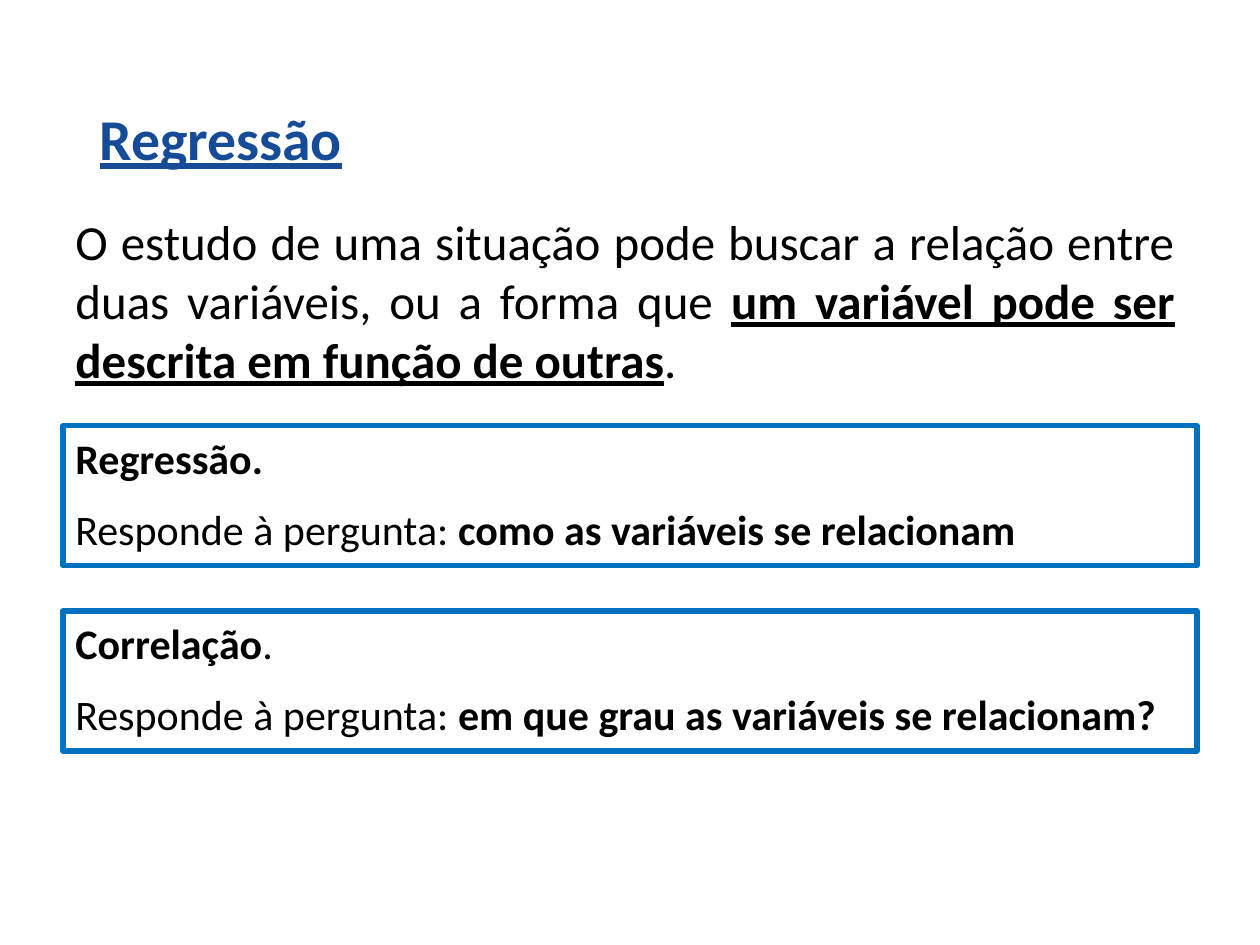
from dataclasses import dataclass

from pptx import Presentation
from pptx.dml.color import RGBColor
from pptx.enum.shapes import MSO_SHAPE
from pptx.enum.text import MSO_ANCHOR, PP_ALIGN
from pptx.util import Inches, Pt

RECT = MSO_SHAPE.RECTANGLE
TOP, MIDDLE = MSO_ANCHOR.TOP, MSO_ANCHOR.MIDDLE
LEFT, JUSTIFY = PP_ALIGN.LEFT, PP_ALIGN.JUSTIFY
WIDE, HIGH = 10, 7.5
EDGE = 0.05 * WIDE


@dataclass(frozen=True)
class Theme:
    font: str = "Calibri"
    ink: str = "000000"
    title: str = "164C97"
    border: str = "0070C0"
    head: int = 33
    body: int = 28
    note: int = 24
    line: int = 3


THEME = Theme()


def write(frame, paras, size, color=THEME.ink, align=JUSTIFY,
          anchor=TOP, before=0, lead=1.0):
    frame.word_wrap = True
    frame.vertical_anchor = anchor
    for num, parts in enumerate(paras):
        para = frame.add_paragraph() if num else frame.paragraphs[0]
        para.alignment = align
        para.space_before = Pt(before)
        para.line_spacing = lead
        for text, style in parts:
            run = para.add_run()
            run.text = text
            font = run.font
            font.name = THEME.font
            font.size = Pt(size)
            font.bold = "b" in style
            font.underline = "u" in style
            font.color.rgb = RGBColor.from_string(color)


def area(left, top, width, height):
    return [Inches(side) for side in (left, top, width, height)]


def add_title(slide, text):
    title = slide.shapes.title
    title.left, title.top, title.width, title.height = area(0.69, 0.4, 8.62, 1.45)
    write(title.text_frame, [[(text, "bu")]], THEME.head, color=THEME.title,
          align=LEFT, anchor=MIDDLE, lead=0.9)


def add_body(slide, parts):
    box = slide.shapes.add_textbox(*area(EDGE, 1.63, 8.92, 1.51))
    write(box.text_frame, [parts], THEME.body)


def add_panel(slide, row, paras):
    top = 3.38 + row * 1.47
    box = slide.shapes.add_shape(RECT, *area(EDGE, top, WIDE - 2 * EDGE, 1.11))
    box.shadow.inherit = False
    box.fill.background()
    box.line.color.rgb = RGBColor.from_string(THEME.border)
    box.line.width = Pt(THEME.line)
    write(box.text_frame, paras, THEME.note, before=THEME.note / 2)


def main():
    deck = Presentation()
    deck.slide_width, deck.slide_height = Inches(WIDE), Inches(HIGH)
    slide = deck.slides.add_slide(deck.slide_layouts[5])
    add_title(slide, "Regressão")
    add_body(slide, [
        ("O estudo de uma situação pode buscar a relação entre duas variáveis, "
         "ou a forma que ", ""),
        ("um variável pode ser descrita em função de outras", "bu"),
        (".", ""),
    ])
    ask = ("Responde à pergunta: ", "")
    panels = [
        ([("Regressão.", "b")], "como as variáveis se relacionam"),
        ([("Correlação", "b"), (".", "")],
         "em que grau as variáveis se relacionam?"),
    ]
    for row, (term, reply) in enumerate(panels):
        add_panel(slide, row, [term, [ask, (reply, "b")]])
    deck.save("out.pptx")


if __name__ == "__main__":
    main()
